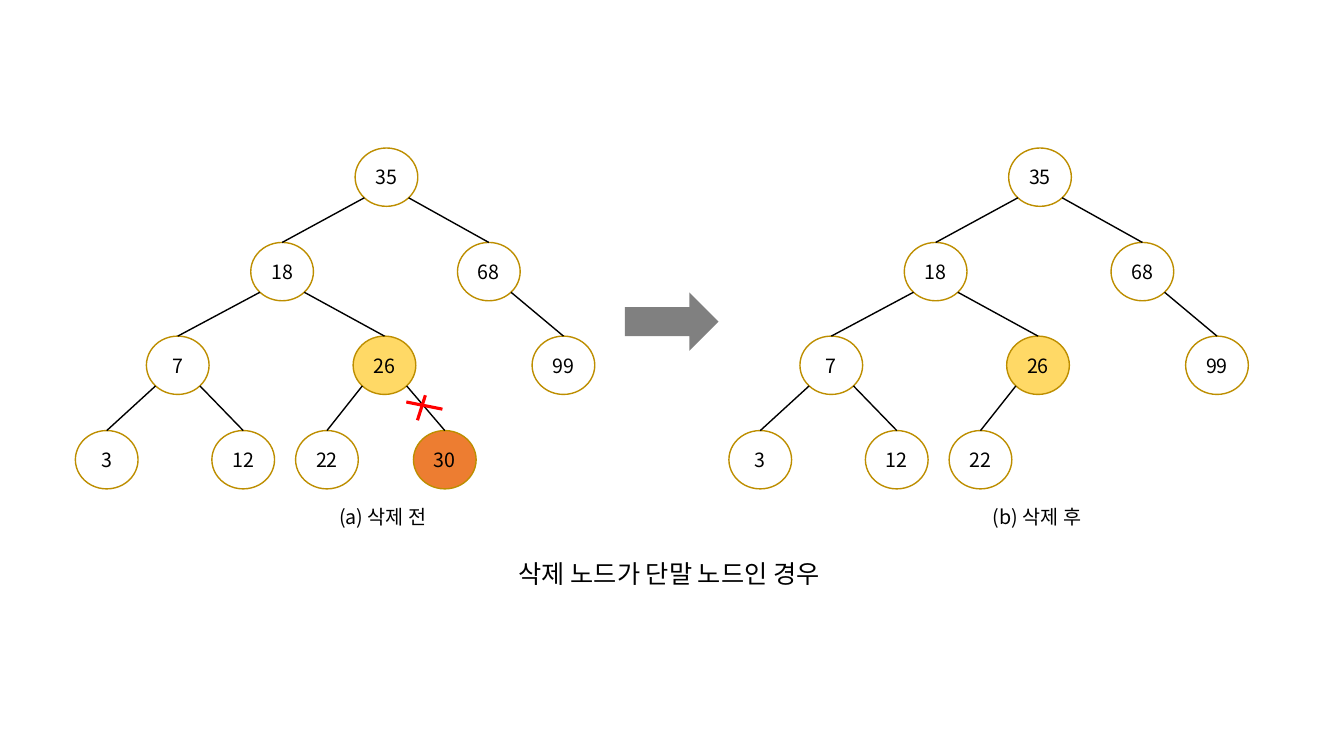
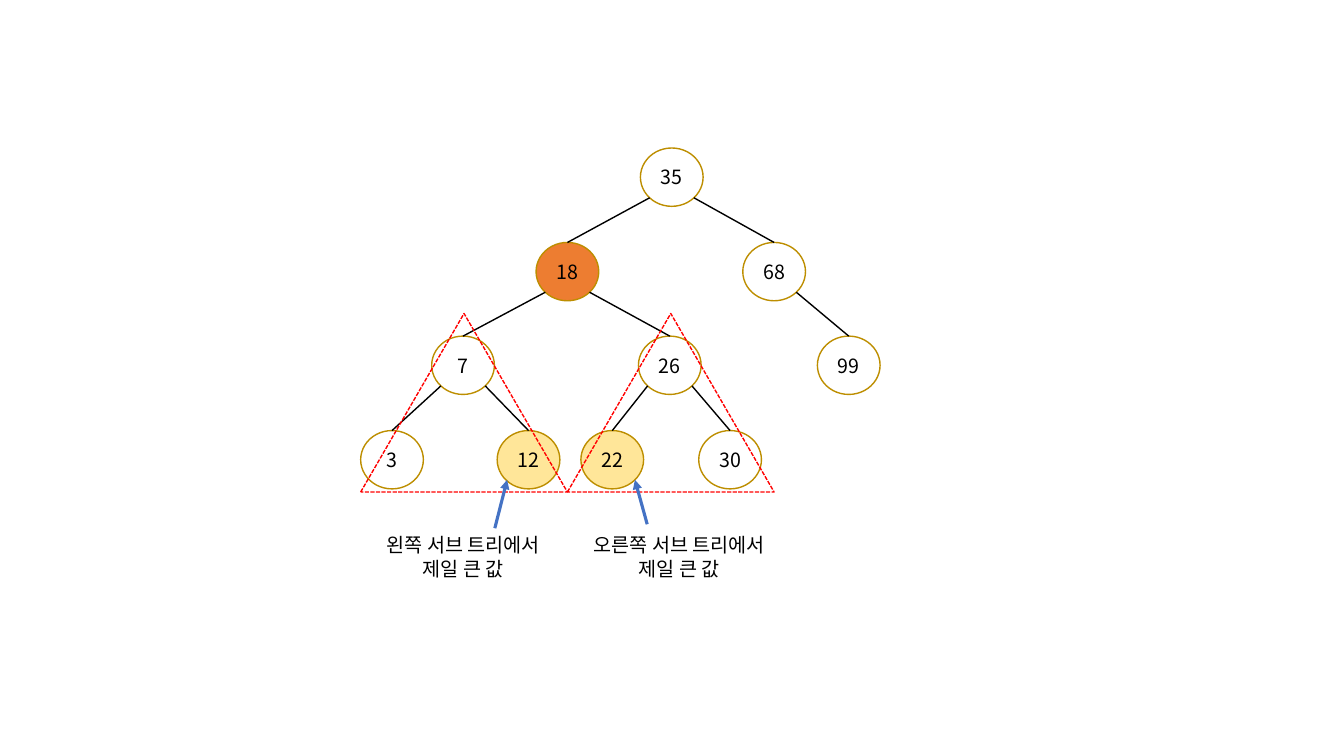
from math import sqrt

from lxml.etree import SubElement
from pptx import Presentation
from pptx.dml.color import RGBColor
from pptx.enum.dml import MSO_LINE
from pptx.enum.shapes import MSO_CONNECTOR, MSO_SHAPE
from pptx.enum.text import MSO_ANCHOR, MSO_AUTO_SIZE, PP_ALIGN
from pptx.oxml.ns import qn
from pptx.util import Cm, Pt

FONT = "Noto Sans CJK KR"
COLORS = {
    "text": "000000",
    "edge": "000000",
    "outline": "BD8E00",
    "target": "ED7D31",
    "parent": "FFD966",
    "candidate": "FFE699",
    "mark": "FF0000",
    "step": "808080",
    "pointer": "4472C4",
}
NODE_WIDTH, NODE_HEIGHT = 1.58, 1.47
LEVEL_TOPS = [3.73, 6.11, 8.47, 10.85]
NODES = {
    35: (7.05, 0),
    18: (4.42, 1),
    68: (9.63, 1),
    7: (1.79, 2),
    26: (7.0, 2),
    99: (11.51, 2),
    3: (0, 3),
    12: (3.44, 3),
    22: (5.55, 3),
    30: (8.52, 3),
}
EDGES = [(35, 18), (35, 68), (18, 7), (18, 26), (68, 99), (7, 3), (7, 12), (26, 22), (26, 30)]


def color(name):
    return RGBColor.from_string(COLORS[name])


def write_text(text_frame, text, size=14):
    text_frame.text = text
    for paragraph in text_frame.paragraphs:
        paragraph.alignment = PP_ALIGN.CENTER
        for run in paragraph.runs:
            run.font.size = Pt(size)
            run.font.name = FONT
            run.font.color.rgb = color("text")
            east_asian = SubElement(run.font._element, qn("a:ea"))
            east_asian.set("typeface", FONT)


def add_caption(slide, text, left, top, height, size=14):
    text_box = slide.shapes.add_textbox(Cm(left), Cm(top), Cm(10.36), Cm(height))
    text_frame = text_box.text_frame
    text_frame.word_wrap = True
    text_frame.auto_size = MSO_AUTO_SIZE.SHAPE_TO_FIT_TEXT
    write_text(text_frame, text, size)


def add_line(slide, start, end, color_name="edge", width=1, arrow=False):
    points = [Cm(value) for value in (*start, *end)]
    connector = slide.shapes.add_connector(MSO_CONNECTOR.STRAIGHT, *points)
    connector.line.color.rgb = color(color_name)
    connector.line.width = Pt(width)
    if arrow:
        SubElement(connector.line._get_or_add_ln(), qn("a:tailEnd")).set("type", "triangle")
    SubElement(connector._element.spPr, qn("a:effectLst"))


def add_outlined_shape(slide, kind, left, top, width, height, line, fill=None):
    shape = slide.shapes.add_shape(kind, Cm(left), Cm(top), Cm(width), Cm(height))
    shape.shadow.inherit = False
    shape.line.color.rgb = color(line)
    shape.line.width = Pt(1)
    if fill:
        shape.fill.solid()
        shape.fill.fore_color.rgb = color(fill)
    else:
        shape.fill.background()
    return shape


def add_node(slide, value, left, top, fill):
    shape = add_outlined_shape(
        slide, MSO_SHAPE.FLOWCHART_CONNECTOR, left, top, NODE_WIDTH, NODE_HEIGHT, "outline", fill
    )
    text_frame = shape.text_frame
    text_frame.margin_left = text_frame.margin_right = 0
    text_frame.margin_top = text_frame.margin_bottom = 0
    text_frame.vertical_anchor = MSO_ANCHOR.MIDDLE
    write_text(text_frame, str(value))


def add_edge(slide, parent_center, child_center):
    parent_x, parent_y = parent_center
    child_x, child_y = child_center
    side = 1 if child_x > parent_x else -1
    start = (parent_x + side * NODE_WIDTH / sqrt(8), parent_y + NODE_HEIGHT / sqrt(8))
    add_line(slide, start, (child_x, child_y - NODE_HEIGHT / 2))


def add_tree(slide, tree_left, fills, removed=()):
    centers = {}
    for value, (offset, level) in NODES.items():
        if value not in removed:
            left, top = tree_left + offset, LEVEL_TOPS[level]
            add_node(slide, value, left, top, fills.get(value))
            centers[value] = (left + NODE_WIDTH / 2, top + NODE_HEIGHT / 2)
    for parent, child in EDGES:
        if child in centers:
            add_edge(slide, centers[parent], centers[child])


def add_step_arrow(slide):
    shape = add_outlined_shape(
        slide, MSO_SHAPE.RIGHT_ARROW, 15.75, 7.37, 2.36, 1.47, "step", "step"
    )
    shape.line.fill.background()


def add_subtree_outline(slide, left):
    triangle = add_outlined_shape(
        slide, MSO_SHAPE.ISOSCELES_TRIANGLE, left, 7.9, 5.21, 4.5, "mark"
    )
    triangle.line.dash_style = MSO_LINE.SQUARE_DOT


def build_leaf_deletion(slide):
    add_caption(slide, "(a) 삭제 전", 4.47, 12.6, 0.86)
    add_tree(slide, 1.9, {26: "parent", 30: "target"})
    add_line(slide, (10.24, 10.13), (11.15, 10.31), "mark", 2.25)
    add_line(slide, (10.72, 9.96), (10.52, 10.59), "mark", 2.25)
    add_step_arrow(slide)
    add_caption(slide, "(b) 삭제 후", 20.96, 12.6, 0.86)
    add_tree(slide, 18.37, {26: "parent"}, removed=(30,))
    add_caption(slide, "삭제 노드가 단말 노드인 경우", 11.68, 13.94, 1.02, 18)


def build_successor_choice(slide):
    add_tree(slide, 9.09, {18: "target", 12: "candidate", 22: "candidate"})
    for left in (9.09, 14.3):
        add_subtree_outline(slide, left)
    add_caption(slide, "왼쪽 서브 트리에서\n제일 큰 값", 6.5, 13.31, 1.45)
    add_line(slide, (12.47, 13.31), (12.78, 12.09), "pointer", 2.25, arrow=True)
    add_caption(slide, "오른쪽 서브 트리에서\n제일 큰 값", 11.94, 13.31, 1.45)
    add_line(slide, (16.31, 13.21), (16, 12.09), "pointer", 2.25, arrow=True)


def main():
    presentation = Presentation()
    presentation.slide_width, presentation.slide_height = Cm(33.87), Cm(19.05)
    for build in (build_leaf_deletion, build_successor_choice):
        build(presentation.slides.add_slide(presentation.slide_layouts[6]))
    presentation.save("out.pptx")


main()
